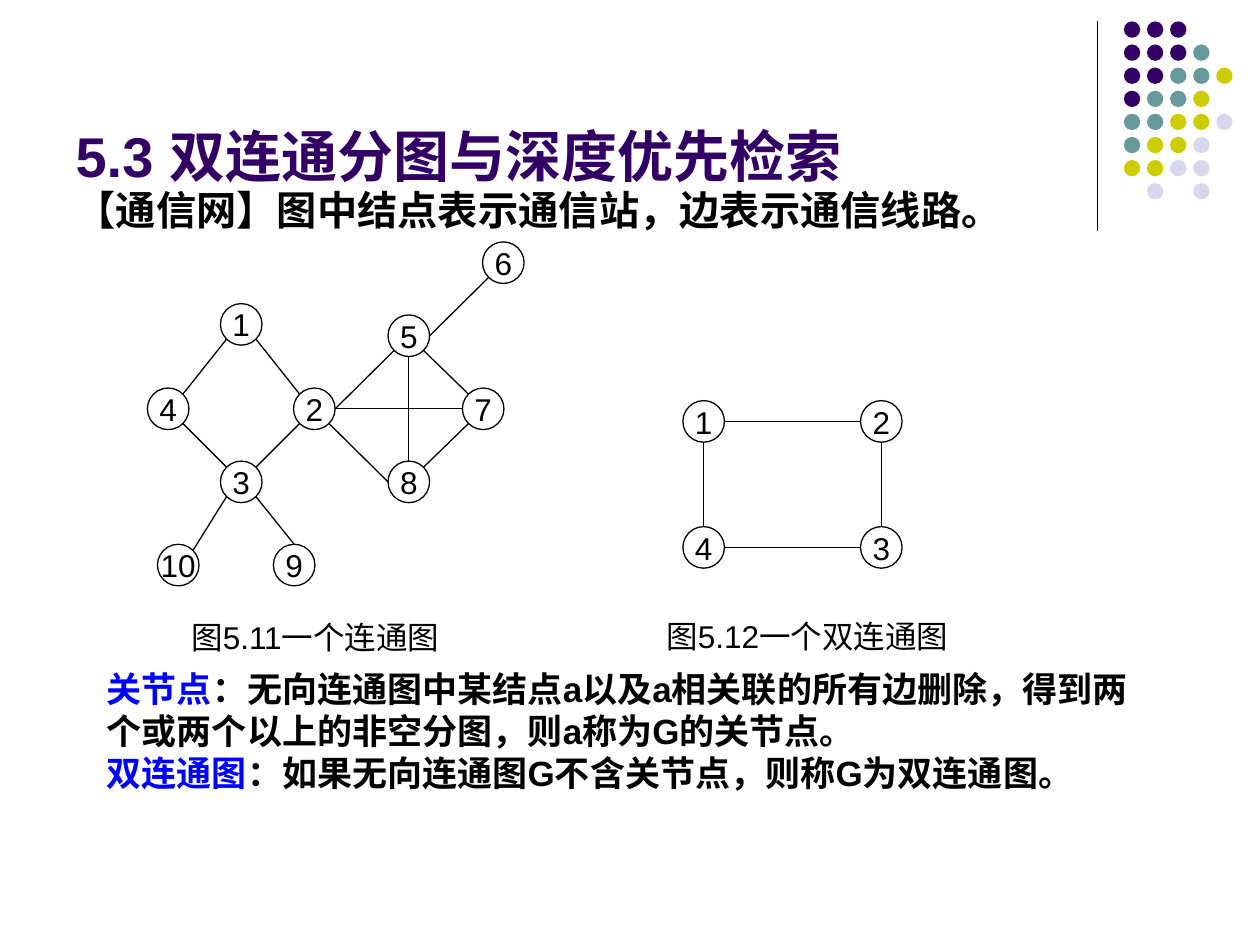
import pptx
import pptx.util
import pptx.dml.color
import pptx.enum.shapes
import pptx.enum.text
import pptx.oxml.ns
import lxml.etree
from dataclasses import dataclass

Inches = pptx.util.Inches
Pt = pptx.util.Pt
RGB = pptx.dml.color.RGBColor.from_string
ALIGN = pptx.enum.text.PP_ALIGN
ANCHOR = pptx.enum.text.MSO_ANCHOR
FIT = pptx.enum.text.MSO_AUTO_SIZE
OVAL = pptx.enum.shapes.MSO_SHAPE.OVAL
STRAIGHT = pptx.enum.shapes.MSO_CONNECTOR.STRAIGHT
qn = pptx.oxml.ns.qn


@dataclass
class Theme:
    font: str = "Arial"
    ink: str = "000000"
    paper: str = "FFFFFF"
    purple: str = "330066"
    teal: str = "669999"
    lime: str = "CCCC00"
    lilac: str = "D8D8EC"
    term: str = "0000FF"
    title: int = 32
    lead: int = 23
    definition: int = 20
    label: int = 18
    rule: float = 0.75


theme = Theme()


def write(p, text, size=theme.label, color=theme.ink, bold=False, align=ALIGN.LEFT):
    p.alignment = align
    r = p.add_run()
    r.text = text
    r.font.name = theme.font
    r.font.size = Pt(size)
    r.font.bold = bold
    r.font.color.rgb = RGB(color)


def add_line(shapes, x1, y1, x2, y2):
    line = shapes.add_connector(STRAIGHT, Inches(x1), Inches(y1), Inches(x2), Inches(y2))
    line.line.color.rgb = RGB(theme.ink)
    line.line.width = Pt(theme.rule)
    lxml.etree.SubElement(line._element.spPr, qn("a:effectLst"))


prs = pptx.Presentation()
prs.slide_width, prs.slide_height = Inches(10), Inches(7.5)
s = prs.slides.add_slide(prs.slide_layouts[1])

add_line(s.shapes, 8.71, 0.17, 8.71, 1.83)
dot_colors = {"P": theme.purple, "T": theme.teal, "L": theme.lime, "V": theme.lilac}
dot_rows = ["PPP", "PPPT", "PPTTL", "PTTL", "TTLLV", "TLLV", "LLVV", " V V"]
dot_pitch = 0.55 / 3
dots = s.shapes.add_group_shape()
for row, codes in enumerate(dot_rows):
    for col, code in enumerate(codes):
        if code in dot_colors:
            dot = dots.shapes.add_shape(OVAL, Inches(8.92 + col * dot_pitch), Inches(0.17 + row * dot_pitch),
                                        Inches(0.13), Inches(0.13))
            dot.shadow.inherit = False
            dot.fill.solid()
            dot.fill.fore_color.rgb = RGB(dot_colors[code])
            dot.line.fill.background()

title = s.shapes.title
title.left, title.top, title.width, title.height = Inches(0.5), Inches(0.55), Inches(8.25), Inches(1)
tf = title.text_frame
tf.auto_size = FIT.NONE
tf.vertical_anchor = ANCHOR.BOTTOM
write(tf.paragraphs[0], "5.3 双连通分图与深度优先检索", size=theme.title, color=theme.purple, bold=True)

body = s.placeholders[1]
body.left, body.top, body.width, body.height = Inches(0.5), Inches(1.42), Inches(8.17), Inches(0.67)
tf = body.text_frame
tf.auto_size = FIT.NONE
p = tf.paragraphs[0]
p.space_before = Pt(5.8)
write(p, "【通信网】图中结点表示通信站，边表示通信线路。", size=theme.lead, bold=True)
pPr = p._p.get_or_add_pPr()
pPr.set("marL", str(Inches(0.38)))
pPr.set("indent", str(Inches(-0.38)))
lxml.etree.SubElement(pPr, qn("a:buNone"))

diameter = 0.33
radius = diameter / 2
diagonal = radius * 0.71
ports = {
    "n": (0, -radius), "s": (0, radius), "w": (-radius, 0), "e": (radius, 0),
    "nw": (-diagonal, -diagonal), "ne": (diagonal, -diagonal),
    "sw": (-diagonal, diagonal), "se": (diagonal, diagonal),
}
graphs = [
    (
        {1: (1.75, 2.41), 4: (1.17, 3.08), 2: (2.33, 3.08), 3: (1.75, 3.66), 10: (1.25, 4.32),
         9: (2.17, 4.32), 5: (3.08, 2.5), 6: (3.83, 1.92), 7: (3.67, 3.08), 8: (3.08, 3.66)},
        [(1, "sw", 4, "ne"), (1, "se", 2, "nw"), (8, "n", 5, "s"), (7, "sw", 8, "ne"),
         (6, "sw", 5, "e"), (5, "sw", 2, "e"), (5, "se", 7, "nw"), (2, "se", 8, "w"),
         (2, "sw", 3, "ne"), (4, "se", 3, "nw"), (3, "sw", 10, "ne"), (3, "se", 9, "n"),
         (2, "e", 7, "w")],
        "图5.11一个连通图", (1.42, 4.86, 2.3, 0.4),
    ),
    (
        {1: (5.42, 3.18), 2: (6.83, 3.18), 4: (5.42, 4.18), 3: (6.83, 4.18)},
        [(1, "s", 4, "n"), (1, "e", 2, "w"), (2, "s", 3, "n"), (4, "e", 3, "w")],
        "图5.12一个双连通图", (5.19, 4.85, 2.55, 0.4),
    ),
]
for nodes, edges, caption, box in graphs:
    graph = s.shapes.add_group_shape()
    for name, (x, y) in nodes.items():
        sp = graph.shapes.add_shape(OVAL, Inches(x), Inches(y), Inches(diameter), Inches(diameter))
        sp.shadow.inherit = False
        sp.fill.solid()
        sp.fill.fore_color.rgb = RGB(theme.paper)
        sp.line.color.rgb = RGB(theme.ink)
        sp.line.width = Pt(theme.rule)
        tf = sp.text_frame
        tf.word_wrap = False
        tf.vertical_anchor = ANCHOR.MIDDLE
        write(tf.paragraphs[0], str(name), align=ALIGN.CENTER)
    for start, start_port, end, end_port in edges:
        ends = []
        for name, port in ((start, start_port), (end, end_port)):
            ends += [corner + radius + shift for corner, shift in zip(nodes[name], ports[port])]
        add_line(graph.shapes, *ends)
    tf = graph.shapes.add_textbox(*map(Inches, box)).text_frame
    tf.word_wrap = True
    tf.margin_right = Inches(0)
    write(tf.paragraphs[0], caption)

definitions = [
    ("关节点", "：无向连通图中某结点a以及a相关联的所有边删除，得到两个或两个以上的非空分图，则a称为G的关节点。"),
    ("双连通图", "：如果无向连通图G不含关节点，则称G为双连通图。"),
]
tf = s.shapes.add_textbox(Inches(0.75), Inches(5.25), Inches(8.33), Inches(1.1)).text_frame
tf.word_wrap = True
for i, (term, meaning) in enumerate(definitions):
    p = tf.add_paragraph() if i else tf.paragraphs[0]
    write(p, term, size=theme.definition, color=theme.term, bold=True)
    write(p, meaning, size=theme.definition, bold=True)

prs.save("out.pptx")
